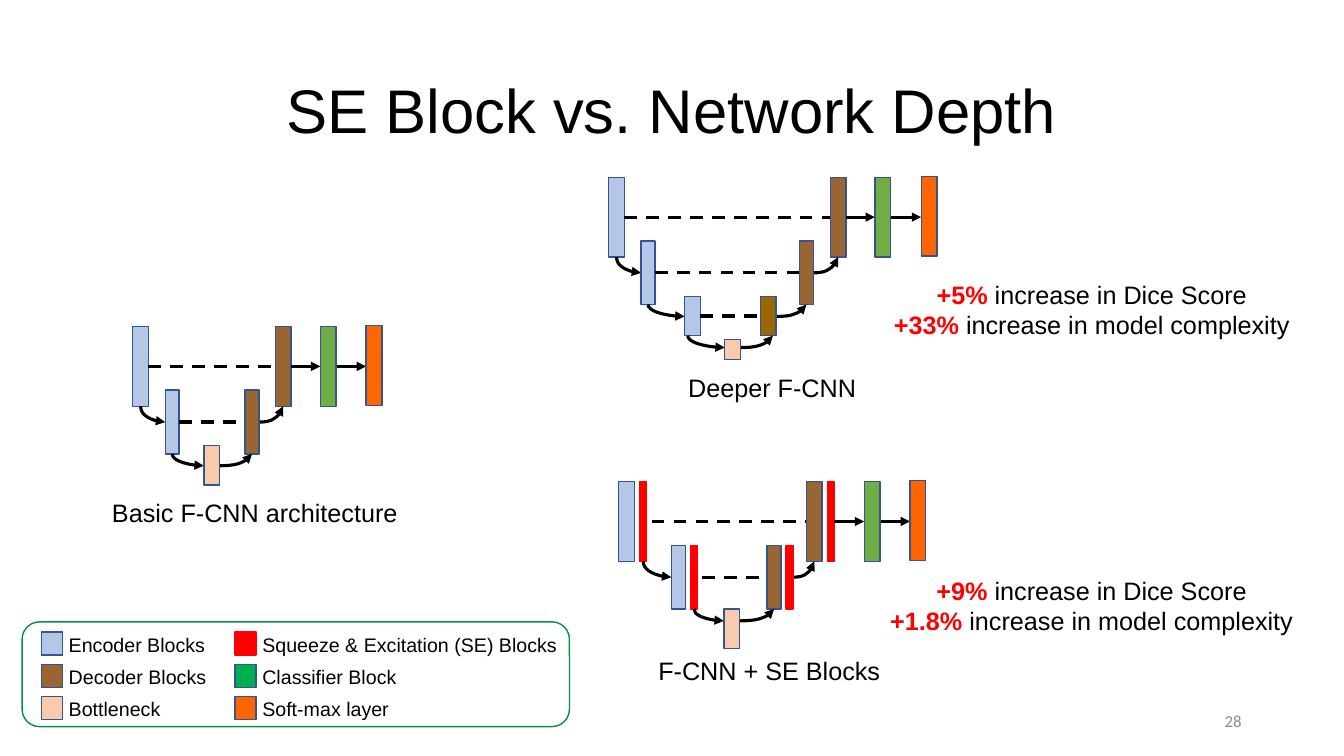
from lxml.etree import SubElement
from pptx import Presentation
from pptx.dml.color import RGBColor
from pptx.enum.dml import MSO_LINE
from pptx.enum.shapes import MSO_CONNECTOR, MSO_SHAPE
from pptx.enum.text import MSO_ANCHOR, MSO_AUTO_SIZE, PP_ALIGN
from pptx.oxml.ns import qn
from pptx.util import Pt

BLACK = RGBColor(0x00, 0x00, 0x00)
GRAY = RGBColor(0x8C, 0x8C, 0x8C)
RED = RGBColor(0xFF, 0x00, 0x00)
ENCODER = RGBColor(0xB4, 0xC7, 0xE7)
DECODER = RGBColor(0x99, 0x66, 0x33)
DEEP_DECODER = RGBColor(0x99, 0x66, 0x00)
BOTTLENECK = RGBColor(0xF8, 0xCB, 0xAD)
CLASSIFIER = RGBColor(0x70, 0xAD, 0x47)
CLASSIFIER_KEY = RGBColor(0x00, 0xB0, 0x50)
SOFTMAX = RGBColor(0xFF, 0x66, 0x00)
OUTLINE = RGBColor(0x32, 0x54, 0x91)
KEY_OUTLINE = RGBColor(0x2F, 0x55, 0x97)
FRAME = RGBColor(0x01, 0x94, 0x40)

BLOCK_WIDTH = 11.3
STRIP_GAP = 3.6
STRIP_WIDTH = 5
# LEVELS holds offset from the top, width, height, drop of the curve, start of the curve
LEVELS = [
    (0, BLOCK_WIDTH, 57, 11.3, 0.5),
    (45.5, 10, 45.5, 8.5, 0.5),
    (85, BLOCK_WIDTH, 28.2, 8.5, 0.2),
]


class Painter:
    def __init__(self, page, font_name="Arial"):
        self.page = page
        self.font_name = font_name

    def style(self, para, size, color=BLACK, align=PP_ALIGN.LEFT, font_name=None):
        para.alignment = align
        para.font.name = font_name or self.font_name
        para.font.size = Pt(size)
        para.font.color.rgb = color

    def title(self, text, left, top, width, height):
        box = self.page.shapes.title
        box.left, box.top, box.width, box.height = Pt(left), Pt(top), Pt(width), Pt(height)
        box.text_frame.text = text
        box.text_frame.vertical_anchor = MSO_ANCHOR.MIDDLE
        para = box.text_frame.paragraphs[0]
        self.style(para, 44, align=PP_ALIGN.CENTER)
        para.line_spacing = 0.9

    def frame(self, left, top, width, height, wrap=True):
        box = self.page.shapes.add_textbox(Pt(left), Pt(top), Pt(width), Pt(height))
        box.text_frame.word_wrap = wrap
        box.text_frame.auto_size = MSO_AUTO_SIZE.SHAPE_TO_FIT_TEXT
        return box.text_frame

    def label(self, text, left, top, width, height, size, wrap=True, **look):
        frame = self.frame(left, top, width, height, wrap)
        frame.text = text
        self.style(frame.paragraphs[0], size, **look)
        return frame

    def claim(self, lines, left, top, width):
        para = self.frame(left, top, width, 51).paragraphs[0]
        self.style(para, 18, align=PP_ALIGN.CENTER)
        for index, (gain, rest) in enumerate(lines):
            if index:
                para.add_line_break()
            for text, color, bold in ((gain, RED, True), (rest, BLACK, False)):
                span = para.add_run()
                span.text = text
                span.font.color.rgb = color
                span.font.bold = bold

    def block(self, left, top, width, height, fill, line=OUTLINE, kind=MSO_SHAPE.RECTANGLE):
        box = self.page.shapes.add_shape(kind, Pt(left), Pt(top), Pt(width), Pt(height))
        box.shadow.inherit = False
        if fill is None:
            box.fill.background()
        else:
            box.fill.solid()
            box.fill.fore_color.rgb = fill
        box.line.color.rgb = line
        box.line.width = Pt(1)

    def line(self, x1, y1, x2, y2, kind=MSO_CONNECTOR.STRAIGHT, dashed=False):
        link = self.page.shapes.add_connector(kind, Pt(x1), Pt(y1), Pt(x2), Pt(y2))
        link.line.color.rgb = BLACK
        link.line.width = Pt(2.25)
        if dashed:
            link.line.dash_style = MSO_LINE.DASH
        else:
            SubElement(link.line._get_or_add_ln(), qn("a:tailEnd"), type="triangle")
        properties = link._element.spPr
        SubElement(properties, qn("a:effectLst"))
        if kind == MSO_CONNECTOR.CURVE:
            properties.find(qn("a:prstGeom")).set("prst", "curvedConnector2")
        return link

    def curve_up(self, x1, y1, x2, y2):
        self.line(x1, y1, x2, y2, MSO_CONNECTOR.CURVE)

    def curve_down(self, x1, y1, x2, y2):
        width, height = x2 - x1, y2 - y1
        left, top = (x1 + x2 - height) / 2, (y1 + y2 - width) / 2
        link = self.line(left, top, left + height, top + width, MSO_CONNECTOR.CURVE)
        transform = link._element.spPr.find(qn("a:xfrm"))
        transform.set("rot", "16200000")
        transform.set("flipH", "1")

    def network(self, top, pairs, bottleneck, classifier, softmax, squeeze=False):
        extra = STRIP_GAP + STRIP_WIDTH if squeeze else 0
        neck_left, neck_top, neck_height = bottleneck
        entries = [left for left, _ in pairs[1:]] + [neck_left]
        exits = [right + level[1] + extra for (_, right), level in zip(pairs[1:], LEVELS[1:])]
        exits.append(neck_left + BLOCK_WIDTH)

        for depth, (left, right) in enumerate(pairs):
            offset, width, height, drop, lean = LEVELS[depth]
            y = top + offset
            bottom = y + height
            self.block(left, y, width, height, ENCODER)
            self.block(right, y, width, height, DEEP_DECODER if depth == 2 else DECODER)
            start = left + width * lean
            if squeeze:
                for x in (left, right):
                    self.block(x + width + STRIP_GAP, y, STRIP_WIDTH, height, RED, RED)
                start = left + width + STRIP_GAP + STRIP_WIDTH / 2
            dash_gap = STRIP_GAP if squeeze else 0
            middle = y + height / 2
            self.line(left + width + extra + dash_gap, middle, right, middle, dashed=True)
            self.curve_down(start, bottom, entries[depth], bottom + drop)
            self.curve_up(exits[depth], bottom + drop, right + width * (1 - lean), bottom)

        self.block(neck_left, neck_top, BLOCK_WIDTH, neck_height, BOTTLENECK)
        height = LEVELS[0][2]
        middle = top + height / 2
        self.line(pairs[0][1] + BLOCK_WIDTH + extra, middle, classifier, middle)
        self.line(classifier + BLOCK_WIDTH, middle, softmax, middle)
        self.block(classifier, top, BLOCK_WIDTH, height, CLASSIFIER)
        self.block(softmax, top - 0.6, BLOCK_WIDTH, height, SOFTMAX)

    def legend(self, columns):
        self.block(15.8, 444.2, 391, 74.9, None, FRAME, MSO_SHAPE.ROUNDED_RECTANGLE)
        for left, text_left, width, entries in columns:
            for row, (text, fill) in enumerate(entries):
                top = 451.5 + 23 * row
                self.block(left, top, 15.1, 16.5, fill, RED if fill == RED else KEY_OUTLINE)
                self.label(text, text_left, top - 3.2, width, 24.2, 14)


def main():
    deck = Presentation()
    deck.slide_width, deck.slide_height = Pt(960), Pt(540)
    page = deck.slides.add_slide(deck.slide_layouts[5])
    painter = Painter(page)

    painter.title("SE Block vs. Network Depth", 66, 28.75, 828, 104.4)
    number = painter.label("28", 678, 500.5, 216, 28.75, 12, color=GRAY,
                           align=PP_ALIGN.RIGHT, font_name="Calibri")
    number.auto_size = MSO_AUTO_SIZE.NONE
    number.vertical_anchor = MSO_ANCHOR.MIDDLE

    painter.network(233.2, [(94.8, 196.6), (118, 175)], (145.6, 318.2, 28.2), 228.8, 261.5)
    painter.network(126.6, [(434.7, 593), (457.9, 571), (489, 543)],
                    (517.7, 242.6, 14.4), 625, 658)
    painter.network(344, [(442, 576), (479.5, 548)], (517, 434.9, 28.2), 617.3, 650,
                    squeeze=True)

    captions = [
        ("Basic F-CNN architecture", 72, 351.4, 220),
        ("Deeper F-CNN", 483.8, 262.2, 135.4),
        ("F-CNN + SE Blocks", 460, 464.4, 179),
    ]
    for text, left, top, width in captions:
        painter.label(text, left, top, width, 29, 18, wrap=False, align=PP_ALIGN.CENTER)

    score, complexity = " increase in Dice Score", "increase in model complexity"
    painter.claim([("+5%", score), ("+33% ", complexity)], 629.3, 195.8, 301)
    painter.claim([("+9%", score), ("+1.8% ", complexity)], 624.2, 407.5, 311)

    painter.legend([
        (29.5, 42, 120, [("Encoder Blocks", ENCODER), ("Decoder Blocks", DECODER),
                         ("Bottleneck", BOTTLENECK)]),
        (167.8, 180.3, 230, [("Squeeze & Excitation (SE) Blocks", RED),
                             ("Classifier Block", CLASSIFIER_KEY),
                             ("Soft-max layer", SOFTMAX)]),
    ])
    deck.save("out.pptx")


if __name__ == "__main__":
    main()
